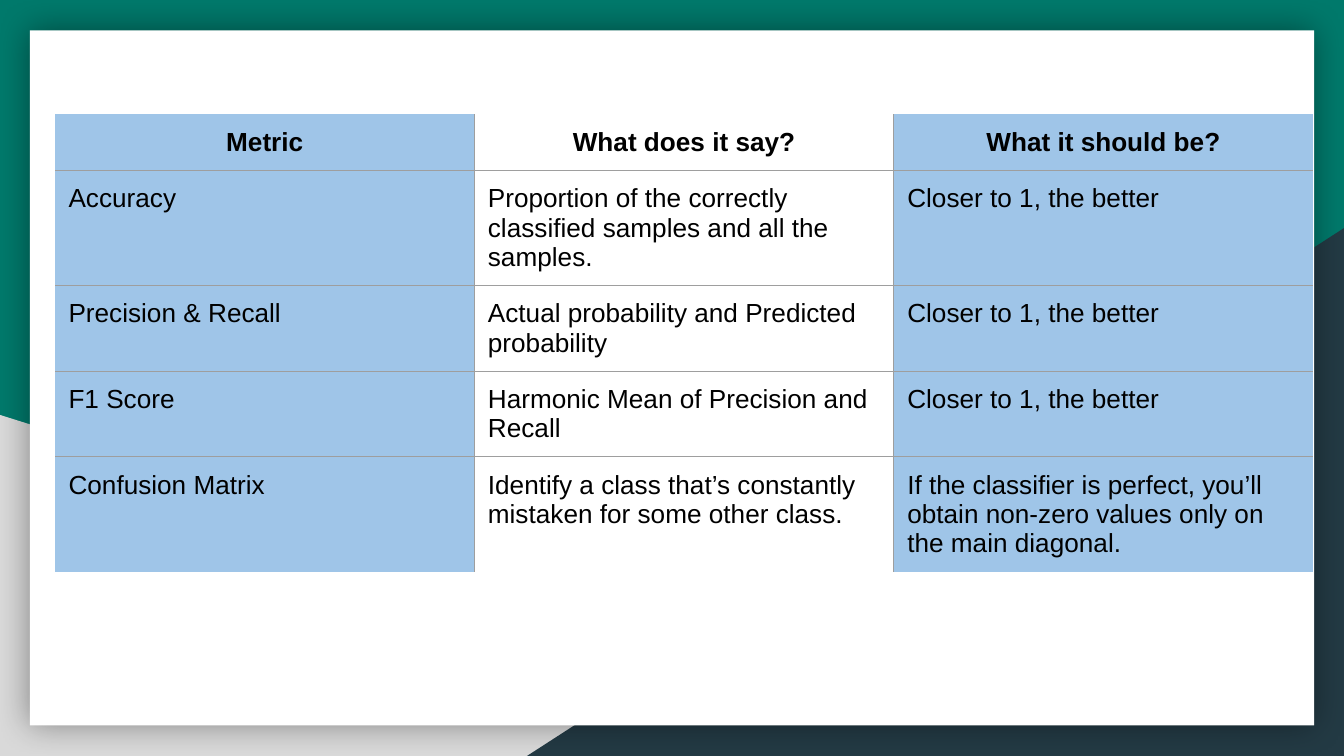
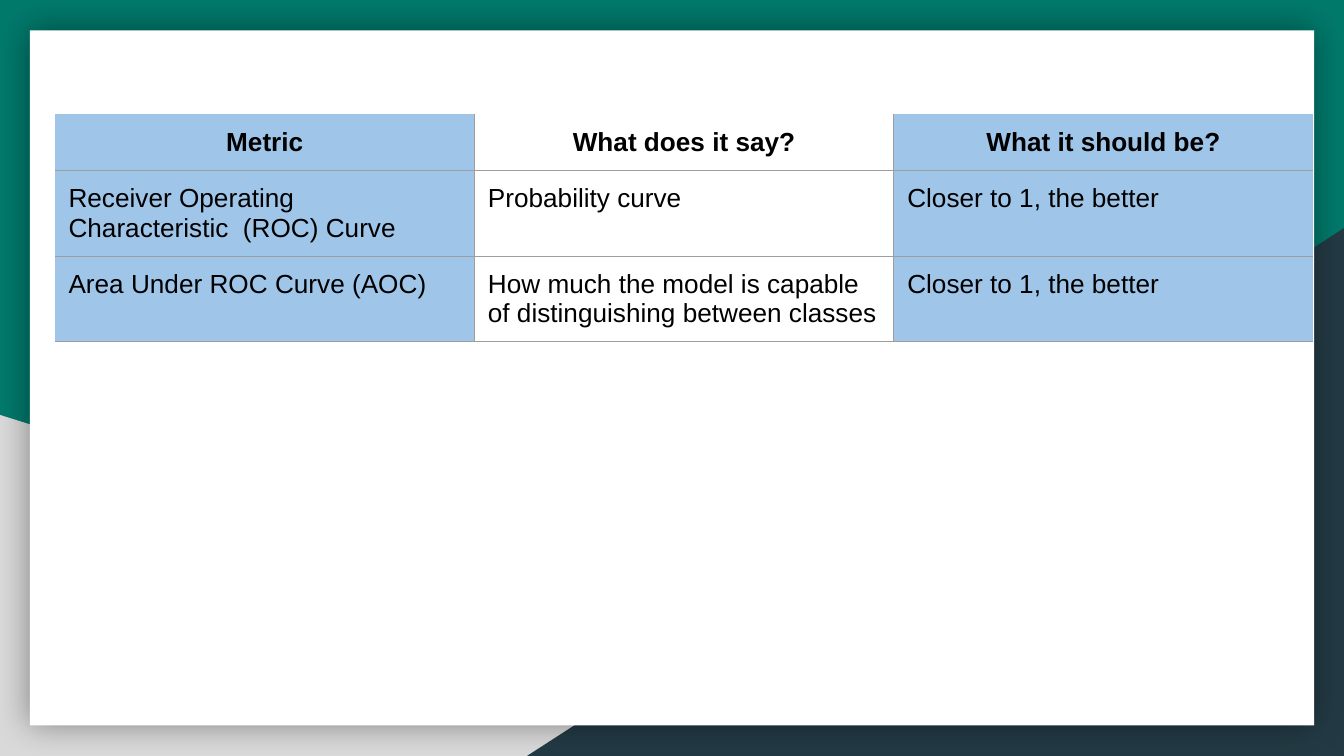
from dataclasses import dataclass

from lxml.etree import SubElement
from pptx import Presentation
from pptx.dml.color import RGBColor
from pptx.enum.shapes import MSO_SHAPE as Geo
from pptx.enum.text import PP_ALIGN as Align
from pptx.oxml import parse_xml
from pptx.oxml.ns import nsdecls, qn
from pptx.util import Pt


@dataclass(frozen=True)
class Theme:
    back: str = "00796B"
    light: str = "D9D9D9"
    dark: str = "233A44"
    card: str = "FFFFFF"
    shade: str = "000000"
    tint: str = "9FC5E8"
    rule: str = "9E9E9E"
    text: str = "000000"
    font: str = "Arial"
    size: float = 14
    line: float = 0.75


@dataclass(frozen=True)
class Block:
    kind: Geo
    left: float
    top: float
    width: float
    height: float
    color: str
    flip: bool = False
    glow: bool = False


@dataclass(frozen=True)
class Page:
    rows: list[tuple[str, str, str]]
    closed: bool  # rule below the last row


THEME = Theme()
WIDE, HIGH = 720, 405

# Table layout
LEFT, TOP, COL, ROW, PAD = 29.5, 61.2, 224.7, 30, 7.2

FRAME = [
    Block(Geo.RIGHT_TRIANGLE, 0, 222.3, 580.5, 182.7, THEME.light),
    Block(Geo.RIGHT_TRIANGLE, 282.3, 122.2, 437.7, 282.8, THEME.dark, flip=True),
    Block(Geo.RECTANGLE, 16, 16.3, 688, 372.4, THEME.card, glow=True),
]

HEAD = ("Metric", "What does it say?", "What it should be?")
GOAL = "Closer to 1, the better"

PAGES = [
    Page([
        ("Accuracy", "Proportion of the correctly classified samples and all the samples.", GOAL),
        ("Precision & Recall", "Actual probability and Predicted probability", GOAL),
        ("F1 Score", "Harmonic Mean of Precision and Recall", GOAL),
        ("Confusion Matrix",
         "Identify a class that’s constantly mistaken for some other class.",
         "If the classifier is perfect, you’ll obtain non-zero values only on the main diagonal."),
    ], closed=False),
    Page([
        ("Receiver Operating Characteristic  (ROC) Curve", "Probability curve", GOAL),
        ("Area Under ROC Curve (AOC)",
         "How much the model is capable of distinguishing between classes", GOAL),
    ], closed=True),
]


def paint(fill, color: str) -> None:
    fill.solid()
    fill.fore_color.rgb = RGBColor.from_string(color)


def add_block(slide, block: Block) -> None:
    shape = slide.shapes.add_shape(
        block.kind, Pt(block.left), Pt(block.top), Pt(block.width), Pt(block.height))
    shape.shadow.inherit = False
    paint(shape.fill, block.color)
    shape.line.fill.background()
    props = shape.element.spPr
    if block.flip:
        props.find(qn("a:xfrm")).set("flipH", "1")
    if block.glow:
        props.find(qn("a:effectLst")).append(parse_xml(
            f'<a:outerShdw {nsdecls("a")} blurRad="{Pt(18)}" dist="0" dir="0" '
            f'algn="ctr" rotWithShape="0"><a:srgbClr val="{THEME.shade}">'
            '<a:alpha val="40000"/></a:srgbClr></a:outerShdw>'))


def set_edges(cell, sides: dict[str, bool]) -> None:
    """Draw or hide each side; the lines must come before the fill."""
    props = cell._tc.get_or_add_tcPr()
    for spot, (side, shown) in enumerate(sides.items()):
        line = SubElement(props, qn(f"a:ln{side}"), w=str(Pt(THEME.line)))
        if shown:
            fill = SubElement(line, qn("a:solidFill"))
            SubElement(fill, qn("a:srgbClr"), val=THEME.rule)
        else:
            SubElement(line, qn("a:noFill"))
        props.insert(spot, line)


def fill_cell(cell, text: str, bold: bool, tinted: bool) -> None:
    cell.margin_left = cell.margin_right = Pt(PAD)
    cell.margin_top = cell.margin_bottom = Pt(PAD)
    if tinted:
        paint(cell.fill, THEME.tint)
    else:
        cell.fill.background()
    para = cell.text_frame.paragraphs[0]
    para.alignment = Align.CENTER if bold else Align.LEFT
    run = para.add_run()
    run.text = text
    font = run.font
    font.name, font.size, font.bold = THEME.font, Pt(THEME.size), bold
    font.color.rgb = RGBColor.from_string(THEME.text)


def add_grid(slide, page: Page) -> None:
    rows = [HEAD, *page.rows]
    tall, wide = len(rows), len(HEAD)
    table = slide.shapes.add_table(
        tall, wide, Pt(LEFT), Pt(TOP), Pt(COL * wide), Pt(ROW * tall)).table
    table.horz_banding = False
    for col in table.columns:
        col.width = Pt(COL)
    for r, row in enumerate(rows):
        table.rows[r].height = Pt(ROW)
        for c, text in enumerate(row):
            cell = table.cell(r, c)
            fill_cell(cell, text, bold=r == 0, tinted=c % 2 == 0)
            set_edges(cell, {
                "L": c > 0,
                "R": c < wide - 1,
                "T": r > 0,
                "B": r < tall - 1 or page.closed,
            })


def main() -> None:
    deck = Presentation()
    deck.slide_width, deck.slide_height = Pt(WIDE), Pt(HIGH)
    for page in PAGES:
        slide = deck.slides.add_slide(deck.slide_layouts[6])
        paint(slide.background.fill, THEME.back)
        for block in FRAME:
            add_block(slide, block)
        add_grid(slide, page)
    deck.save("out.pptx")


if __name__ == "__main__":
    main()
